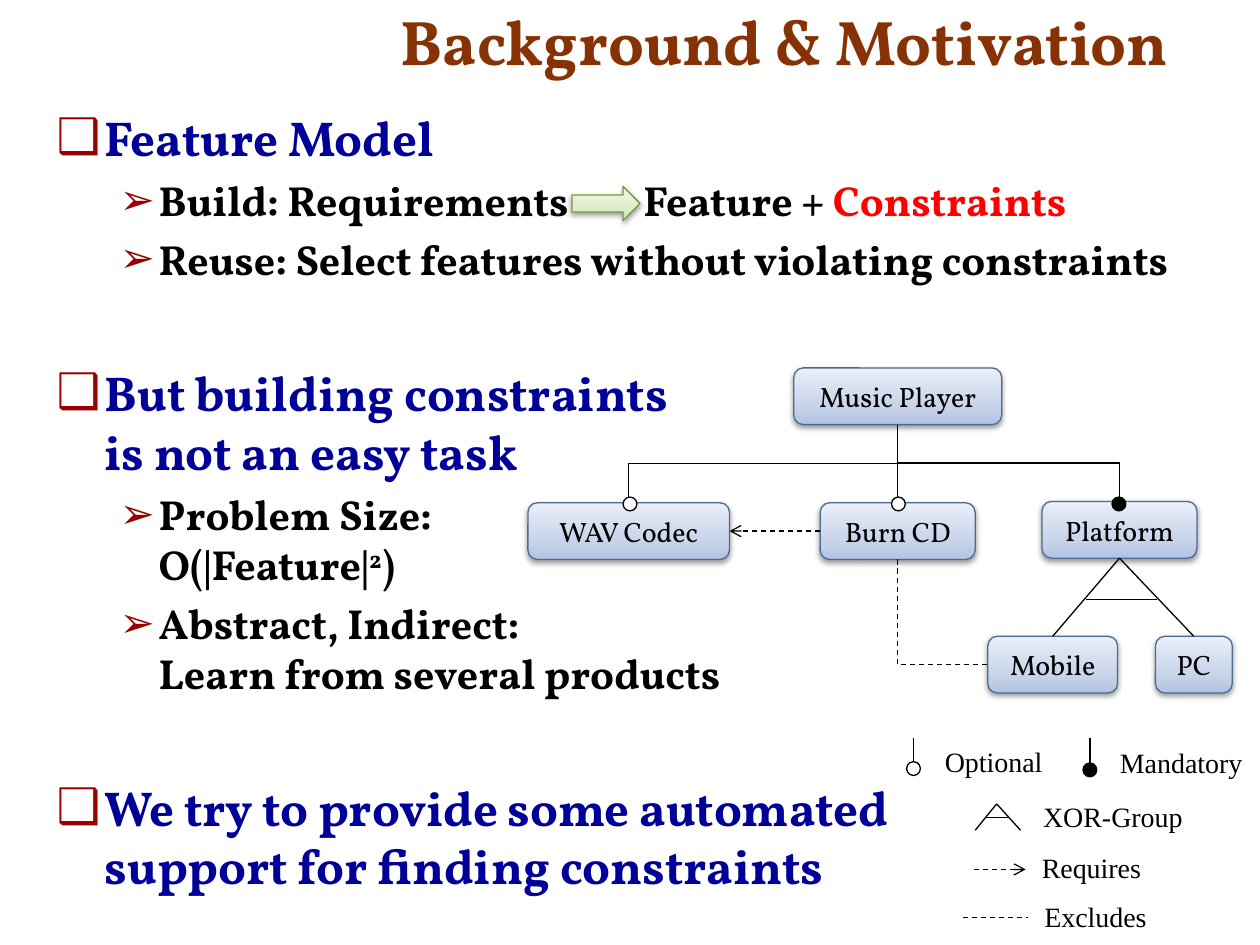
from lxml.etree import SubElement
from pptx import Presentation
from pptx.dml.color import RGBColor
from pptx.enum.dml import MSO_LINE
from pptx.enum.shapes import MSO_CONNECTOR, MSO_SHAPE
from pptx.enum.text import MSO_ANCHOR, MSO_AUTO_SIZE, PP_ALIGN
from pptx.oxml.ns import qn
from pptx.util import Inches, Pt

BROWN = RGBColor(0x86, 0x32, 0x04)
NAVY = RGBColor(0x00, 0x00, 0x99)
MAROON = RGBColor(0x99, 0x00, 0x00)
RED = RGBColor(0xFF, 0x00, 0x00)
BLACK = RGBColor(0x00, 0x00, 0x00)
WHITE = RGBColor(0xFF, 0xFF, 0xFF)
BLUE_EDGE = RGBColor(0x4D, 0x6B, 0x92)
GREEN_EDGE = RGBColor(0x7A, 0x97, 0x46)
BLUE_STOPS = [(0, "B2C3E3"), (35, "C9D5EA"), (100, "EAEFF8")]
GREEN_STOPS = [(0, "CDE6AF"), (35, "DCECC7"), (100, "F1F9E9")]
SERIF, SANS = "Vollkorn", "Times New Roman"

TITLE = "Background & Motivation"
GAP = {"spc": "3800"}
SUPER = {"baseline": "30000"}
LEVELS = [
    {"size": 28, "color": NAVY, "bullet": "❑", "left": 0.38, "hang": 0.38, "before": 5.6},
    {"size": 24, "color": BLACK, "bullet": "➢", "left": 0.81, "hang": 0.31, "before": 4.8},
]
SECTION_SPACE = 45
BODY = [
    (0, [("Feature Model", {}, None)]),
    (1, [("Build: Requirements", {}, None), (" ", GAP, None),
         ("Feature + ", {}, None), ("Constraints", {}, RED)]),
    (1, [("Reuse: Select features without violating constraints", {}, None)]),
    (0, [("But building constraints\nis not an easy task", {}, None)]),
    (1, [("Problem Size:\nO(|Feature|", {}, None), ("2", SUPER, None), (")", {}, None)]),
    (1, [("Abstract, Indirect:\nLearn from several products", {}, None)]),
    (0, [("We try to provide some automated\nsupport for finding constraints", {}, None)]),
]
FEATURES = {
    "Music Player": (6.3, 2.92, 1.65),
    "WAV Codec": (4.19, 3.99, 1.6),
    "Burn CD": (6.51, 3.99, 1.23),
    "Platform": (8.27, 3.98, 1.23),
    "Mobile": (7.84, 5.05, 1.03),
    "PC": (9.17, 5.05, 0.61),
}
BOX_H = 0.45
TOP, LEFT, BOTTOM, RIGHT = range(4)
RELATIONS = [
    ("Music Player", BOTTOM, "WAV Codec", TOP, "bentConnector3", {}),
    ("Music Player", BOTTOM, "Burn CD", TOP, None, {}),
    ("Music Player", BOTTOM, "Platform", TOP, "bentConnector3", {}),
    ("Burn CD", LEFT, "WAV Codec", RIGHT, None, {"dashed": True, "arrow": True}),
    ("Burn CD", BOTTOM, "Mobile", LEFT, "bentConnector2", {"dashed": True}),
    ("Platform", BOTTOM, "Mobile", TOP, None, {}),
    ("Platform", BOTTOM, "PC", TOP, None, {}),
]
LINES = [
    (8.62, 4.76, 9.18, 4.76, {}),
    (7.25, 5.86, 7.25, 6.04, {}),
    (8.65, 5.86, 8.65, 6.06, {}),
    (7.91, 6.38, 7.74, 6.59, {}),
    (7.91, 6.38, 8.1, 6.59, {}),
    (7.82, 6.49, 8.01, 6.49, {}),
    (7.73, 6.9, 8.14, 6.9, {"dashed": True, "arrow": True}),
    (7.64, 7.28, 8.16, 7.28, {"dashed": True}),
]
DOT = 0.11
DOTS = [(5, 4, WHITE), (7.13, 4, WHITE), (8.88, 4, BLACK), (7.25, 6.1, WHITE), (8.65, 6.11, BLACK)]
LEGEND = [
    ("Optional", 7.4, 5.86, 0.99),
    ("Mandatory", 8.79, 5.87, 1.19),
    ("XOR-Group", 8.18, 6.3, 1.32),
    ("Requires", 8.17, 6.7, 1),
    ("Excludes", 8.19, 7.09, 1.03),
]


def apply(obj, formats):
    for name, value in formats.items():
        setattr(obj, name, value)


def add_run(p, text, size, color, font=SERIF, bold=None):
    r = p.add_run()
    r.text = text
    apply(r.font, {"size": Pt(size), "name": font, "bold": bold})
    r.font.color.rgb = color
    return r


def place(sp, *box):
    apply(sp, dict(zip(("left", "top", "width", "height"), map(Inches, box))))


def add_body_paragraph(p, level, runs, before):
    style = LEVELS[level]
    apply(p, {"level": level, "space_before": Pt(before), "alignment": PP_ALIGN.LEFT})
    pPr = p._p.get_or_add_pPr()
    pPr.set("marL", str(Inches(style["left"])))
    pPr.set("indent", str(-Inches(style["hang"])))
    SubElement(SubElement(pPr, qn("a:buClr")), qn("a:srgbClr"), val=str(MAROON))
    SubElement(pPr, qn("a:buChar"), char=style["bullet"])
    for text, attrs, color in runs:
        for i, line in enumerate(text.split("\n")):
            if i:
                p.add_line_break()
            r = add_run(p, line, style["size"], color or style["color"], bold=True)
            for name, value in attrs.items():
                r.font._element.set(name, value)


def add_shape(s, kind, box, edge):
    sp = s.shapes.add_shape(kind, *map(Inches, box))
    sp.shadow.inherit = False
    sp.line.color.rgb = edge
    sp.line.width = Pt(0.75)
    return sp


def add_raised_shape(s, kind, box, edge, stops):
    sp = add_shape(s, kind, box, edge)
    sp.fill.gradient()
    grad = sp._element.spPr.find(qn("a:gradFill"))
    grad.clear()
    grad.set("rotWithShape", "1")
    gs_list = SubElement(grad, qn("a:gsLst"))
    for pos, color in stops:
        gs = SubElement(gs_list, qn("a:gs"), pos=str(pos * 1000))
        SubElement(gs, qn("a:srgbClr"), val=color)
    SubElement(grad, qn("a:lin"), ang="16200000", scaled="0")
    shadow = SubElement(sp._element.spPr.find(qn("a:effectLst")), qn("a:outerShdw"),
                        blurRad="40000", dist="20000", dir="5400000", rotWithShape="0")
    SubElement(SubElement(shadow, qn("a:srgbClr"), val="000000"), qn("a:alpha"), val="38000")
    return sp


def add_line(s, ends, kind=MSO_CONNECTOR.STRAIGHT, dashed=False, arrow=False):
    c = s.shapes.add_connector(kind, *map(Inches, ends))
    c.line.color.rgb = BLACK
    c.line.width = Pt(0.75)
    if dashed:
        c.line.dash_style = MSO_LINE.DASH
    if arrow:
        SubElement(c.line._get_or_add_ln(), qn("a:tailEnd"), type="arrow")
    SubElement(c._element.spPr, qn("a:effectLst"))
    return c


def turn_down_first(c, preset):
    dx, dy = c.end_x - c.begin_x, c.end_y - c.begin_y
    mid_x, mid_y = (c.begin_x + c.end_x) // 2, (c.begin_y + c.end_y) // 2
    apply(c, {"left": mid_x - dy // 2, "top": mid_y - abs(dx) // 2, "width": dy, "height": abs(dx)})
    xfrm = c._element.spPr.find(qn("a:xfrm"))
    xfrm.set("rot", "16200000" if dx > 0 else "5400000")
    xfrm.set("flipH", "1" if dx > 0 else "0")
    c._element.spPr.find(qn("a:prstGeom")).set("prst", preset)


def main():
    prs = Presentation()
    apply(prs, {"slide_width": Inches(10), "slide_height": Inches(7.5)})
    s = prs.slides.add_slide(prs.slide_layouts[1])

    title, body = s.placeholders
    place(title, 3.08, -0.03, 6.84, 0.7)
    place(body, 0.35, 0.8, 9.23, 6.66)
    for sp, anchor in ((title, MSO_ANCHOR.BOTTOM), (body, MSO_ANCHOR.TOP)):
        apply(sp.text_frame, {"vertical_anchor": anchor, "word_wrap": True,
                              "auto_size": MSO_AUTO_SIZE.NONE})
    p = title.text_frame.paragraphs[0]
    p.alignment = PP_ALIGN.LEFT
    add_run(p, TITLE, 36, BROWN, bold=True)
    tf = body.text_frame
    for i, (level, runs) in enumerate(BODY):
        p = tf.add_paragraph() if i else tf.paragraphs[0]
        before = SECTION_SPACE if level == 0 else LEVELS[level]["before"]
        add_body_paragraph(p, level, runs, before if i else 0)

    add_raised_shape(s, MSO_SHAPE.RIGHT_ARROW, (4.54, 1.48, 0.54, 0.27), GREEN_EDGE, GREEN_STOPS)
    boxes = {}
    for name, (x, y, w) in FEATURES.items():
        sp = add_raised_shape(s, MSO_SHAPE.ROUNDED_RECTANGLE, (x, y, w, BOX_H), BLUE_EDGE, BLUE_STOPS)
        apply(sp.text_frame, {"vertical_anchor": MSO_ANCHOR.MIDDLE, "word_wrap": True})
        p = sp.text_frame.paragraphs[0]
        p.alignment = PP_ALIGN.CENTER
        add_run(p, name, 16, BLACK)
        boxes[name] = sp

    for start, start_side, end, end_side, preset, look in RELATIONS:
        kind = MSO_CONNECTOR.ELBOW if preset else MSO_CONNECTOR.STRAIGHT
        c = add_line(s, (0, 0, 1, 1), kind, **look)
        c.begin_connect(boxes[start], start_side)
        c.end_connect(boxes[end], end_side)
        if preset:
            turn_down_first(c, preset)
    for *ends, look in LINES:
        add_line(s, ends, **look)
    for x, y, color in DOTS:
        sp = add_shape(s, MSO_SHAPE.OVAL, (x - DOT / 2, y - DOT / 2, DOT, DOT), BLACK)
        sp.fill.solid()
        sp.fill.fore_color.rgb = color
    for text, x, y, w in LEGEND:
        tf = s.shapes.add_textbox(*map(Inches, (x, y, w, 0.37))).text_frame
        tf.word_wrap = False
        add_run(tf.paragraphs[0], text, 16, BLACK, SANS)

    prs.save("out.pptx")


if __name__ == "__main__":
    main()
